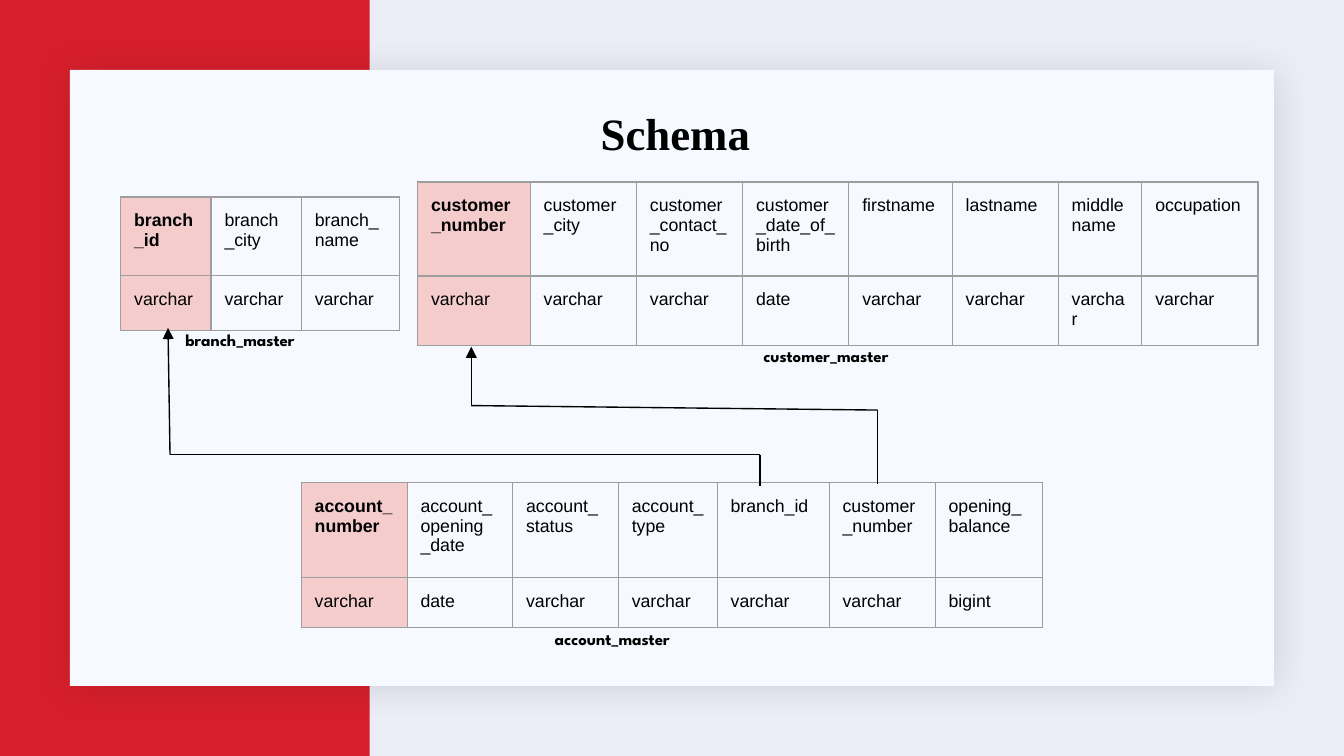
"""Build a slide showing a banking database schema with three linked tables."""
import pptx
import pptx.dml.color
import pptx.enum.shapes
import pptx.enum.text
import pptx.oxml
import pptx.oxml.ns
import pptx.util

Pt = pptx.util.Pt

COLOURS = {"background": "ECEEF7", "band": "D71E2B", "panel": "F6F9FF",
           "key": "F4CCCC", "border": "9E9E9E", "ink": "000000"}
BAND = (0, 0, 198, 405)
PANEL = (37.5, 37.5, 645, 330)
TITLE = ("Schema", (64.8, 55.4, 594, 34.6))
TITLE_FORMAT = {"name": "Times New Roman", "size": Pt(24), "bold": True}
LABEL_FORMAT = {"name": "League Spartan", "size": Pt(9), "bold": True}
CELL_FORMAT = {"name": "Arial", "size": Pt(9.5), "bold": False}
KEY_FORMAT = {**CELL_FORMAT, "bold": True}
LABEL_SIZE = (94.3, 25.2)
CELL_MARGIN = 7.2

TABLES = [
    {"name": "account_master", "label": (290, 331.2), "origin": (161.4, 258.5),
     "rows": (50.9, 26.8),
     "fields": [("account_number", "varchar", 56.7),
                ("account_opening _date", "date", 56.6),
                ("account_status", "varchar", 56.6),
                ("account_type", "varchar", 53),
                ("branch_id", "varchar", 60),
                ("customer_number", "varchar", 56.8),
                ("opening_balance", "bigint", 57.3)]},
    {"name": "branch_master", "label": (92.2, 171.4), "origin": (64.7, 105.6),
     "rows": (42.2, 29.3),
     "fields": [("branch_id", "varchar", 48.4),
                ("branch_city", "varchar", 48.4),
                ("branch_name", "varchar", 52.5)]},
    {"name": "customer_master", "label": (401.8, 180), "origin": (223.7, 97.5),
     "rows": (50.4, 35.9),
     "fields": [("customer_number", "varchar", 60.4),
                ("customer_city", "varchar", 56.9),
                ("customer_contact_no", "varchar", 56.9),
                ("customer_date_of_birth", "date", 56.9),
                ("firstname", "varchar", 55.4),
                ("lastname", "varchar", 56.8),
                ("middlename", "varchar", 44.8),
                ("occupation", "varchar", 62.2)]},
]

FOREIGN_KEYS = [
    [(90, 175.7), (91.1, 243.5), (407.2, 243.5), (407.2, 260.2)],
    [(252.5, 185.8), (252.5, 217.3), (470.2, 219.7), (470.2, 259.2)],
]

SHADOW = ('<a:effectLst %s><a:outerShdw blurRad="254000" dist="25400" dir="2700000" algn="tl" '
          'rotWithShape="0"><a:srgbClr val="1F2125"><a:alpha val="15000"/></a:srgbClr>'
          '</a:outerShdw></a:effectLst>')
BORDER = ('<a:%s %s w="9525"><a:solidFill><a:srgbClr val="' + COLOURS["border"] +
          '"/></a:solidFill></a:%s>')
NAMESPACE = pptx.oxml.ns.nsdecls("a")


def colour(name):
    return pptx.dml.color.RGBColor.from_string(COLOURS[name])


def points(values):
    return [Pt(value) for value in values]


def fill(target, name):
    target.fill.solid()
    target.fill.fore_color.rgb = colour(name)


def write(frame, text, format_values):
    run = frame.paragraphs[0].add_run()
    run.text = text
    for key, value in format_values.items():
        setattr(run.font, key, value)
    run.font.color.rgb = colour("ink")


def add_rectangle(slide, box, name):
    rectangle = slide.shapes.add_shape(pptx.enum.shapes.MSO_SHAPE.RECTANGLE, *points(box))
    rectangle.shadow.inherit = False
    rectangle.line.fill.background()
    fill(rectangle, name)
    return rectangle


def add_text(slide, box, text, format_values, margins):
    frame = slide.shapes.add_textbox(*points(box)).text_frame
    frame.word_wrap = True
    for side, margin in zip(("left", "top", "right", "bottom"), margins):
        setattr(frame, "margin_" + side, Pt(margin))
    write(frame, text, format_values)
    return frame


def format_cell(cell, text, is_key, is_header):
    for side in ("left", "top", "right", "bottom"):
        setattr(cell, "margin_" + side, Pt(CELL_MARGIN))
    write(cell.text_frame, text, KEY_FORMAT if is_key and is_header else CELL_FORMAT)
    if is_key:
        fill(cell, "key")
    else:
        cell.fill.background()
    properties = cell._tc.get_or_add_tcPr()
    for index, tag in enumerate(("lnL", "lnR", "lnT", "lnB")):
        properties.insert(index, pptx.oxml.parse_xml(BORDER % (tag, NAMESPACE, tag)))


def add_schema_table(slide, schema):
    fields, heights = schema["fields"], schema["rows"]
    size = (sum(field[2] for field in fields), sum(heights))
    table = slide.shapes.add_table(len(heights), len(fields),
                                   *points(schema["origin"] + size)).table
    table.first_row = table.horz_banding = False
    for row, height in zip(table.rows, heights):
        row.height = Pt(height)
    for column, (name, data_type, width) in enumerate(fields):
        table.columns[column].width = Pt(width)
        for row, text in enumerate((name, data_type)):
            format_cell(table.cell(row, column), text, column == 0, row == 0)


def add_route(slide, route):
    for index, (start, end) in enumerate(zip(route, route[1:])):
        connector = slide.shapes.add_connector(
            pptx.enum.shapes.MSO_CONNECTOR.STRAIGHT, *points(start + end))
        connector.line.width = Pt(0.75)
        connector.line.color.rgb = colour("ink")
        if index == 0:
            connector.line._get_or_add_ln().append(
                pptx.oxml.parse_xml('<a:headEnd %s type="triangle"/>' % NAMESPACE))
        connector._element.spPr.append(pptx.oxml.parse_xml("<a:effectLst %s/>" % NAMESPACE))


def main():
    presentation = pptx.Presentation()
    presentation.slide_width, presentation.slide_height = points((720, 405))
    slide = presentation.slides.add_slide(presentation.slide_layouts[6])
    fill(slide.background, "background")
    add_rectangle(slide, BAND, "band")
    panel = add_rectangle(slide, PANEL, "panel")
    properties = panel._element.spPr
    properties.remove(properties.find(pptx.oxml.ns.qn("a:effectLst")))
    properties.append(pptx.oxml.parse_xml(SHADOW % NAMESPACE))

    text, box = TITLE
    title = add_text(slide, box, text, TITLE_FORMAT, (5, 2.9, 5, 2.9))
    title.vertical_anchor = pptx.enum.text.MSO_ANCHOR.MIDDLE
    title.paragraphs[0].alignment = pptx.enum.text.PP_ALIGN.CENTER
    title.paragraphs[0].line_spacing = 0.9

    for schema in TABLES:
        add_schema_table(slide, schema)
    for route in FOREIGN_KEYS:
        add_route(slide, route)
    for schema in TABLES:
        add_text(slide, schema["label"] + LABEL_SIZE, schema["name"], LABEL_FORMAT,
                 [CELL_MARGIN] * 4)
    presentation.save("out.pptx")


if __name__ == "__main__":
    main()
